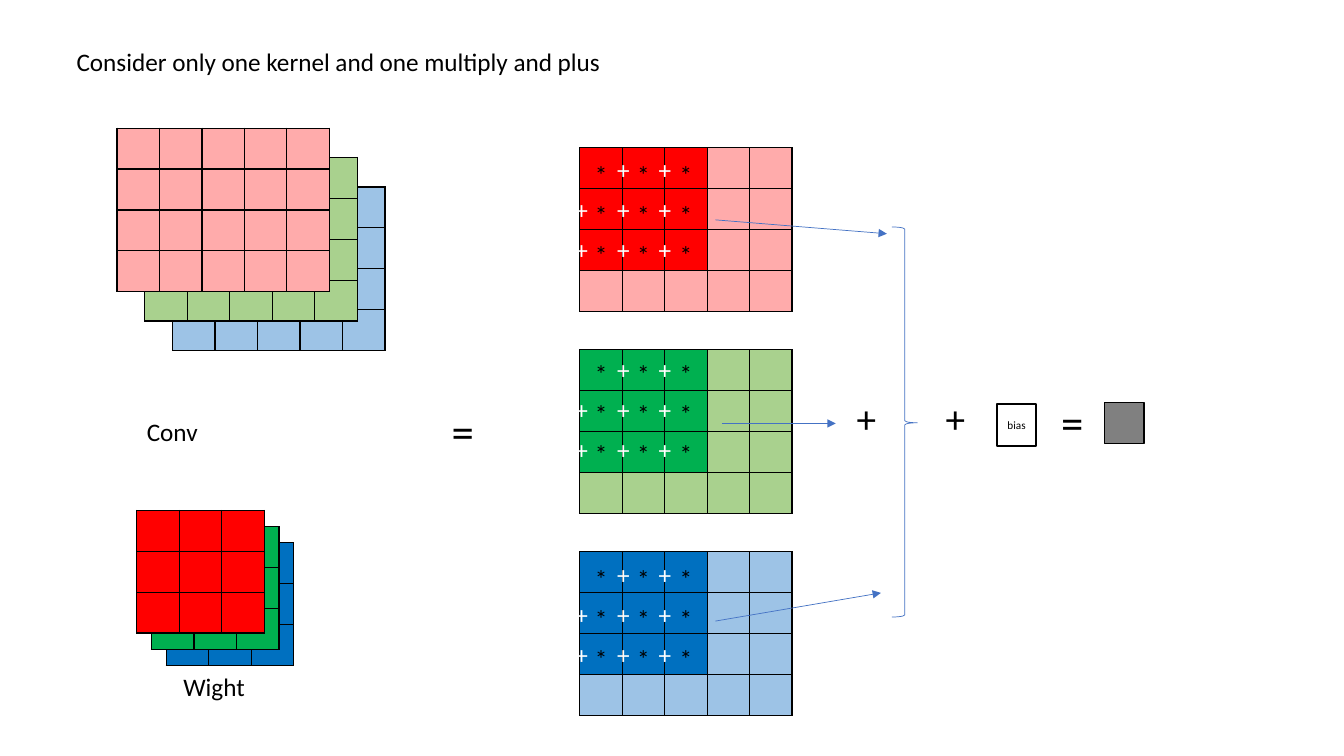
import pptx
import pptx.util
import pptx.dml.color
import pptx.enum.shapes
import pptx.enum.text
import pptx.oxml
from lxml import etree

Cm = pptx.util.Cm
Pt = pptx.util.Pt
CELL_W, CELL_H = 1.07, 1.03
PALE = ["FFABAB", "A9D18E", "9DC3E6"]
DEEP = ["FF0000", "00B050", "0070C0"]
NS = "http://schemas.openxmlformats.org/drawingml/2006/main"
EDGE = (
    '<a:{0} xmlns:a="{1}" w="12700"><a:solidFill><a:srgbClr val="000000"/>'
    '</a:solidFill></a:{0}>'
)


def tint(text):
    """Turn a hex string into a colour."""
    return pptx.dml.color.RGBColor.from_string(text)


def style(frame, size, color):
    """Format every run of a text frame."""
    for para in frame.paragraphs:
        for run in para.runs:
            run.font.name = "Calibri"
            run.font.size = Pt(size)
            run.font.color.rgb = tint(color)


def label(slide, box, text, size=18, color="000000"):
    """Add a text box at left, top, width, height."""
    shape = slide.shapes.add_textbox(*map(Cm, box))
    frame = shape.text_frame
    frame.word_wrap = True
    frame.auto_size = pptx.enum.text.MSO_AUTO_SIZE.SHAPE_TO_FIT_TEXT
    frame.text = text
    style(frame, size, color)


def block(slide, kind, box, line, width, fill=None):
    """Add a preset shape with a plain line and an optional fill."""
    shape = slide.shapes.add_shape(kind, *map(Cm, box))
    shape.shadow.inherit = False
    shape.line.color.rgb = tint(line)
    shape.line.width = Pt(width)
    if fill:
        shape.fill.solid()
        shape.fill.fore_color.rgb = tint(fill)
    else:
        shape.fill.background()
    return shape


def grid(slide, left, top, rows, cols, color):
    """Add a table of equal cells in one colour with black borders."""
    box = (left, top, cols * CELL_W, rows * CELL_H)
    table = slide.shapes.add_table(rows, cols, *map(Cm, box)).table
    table.first_row = table.horz_banding = False
    for col in table.columns:
        col.width = Cm(CELL_W)
    for row in table.rows:
        row.height = Cm(CELL_H)
    for cell in table.iter_cells():
        cell.margin_top = cell.margin_bottom = 0
        props = cell._tc.get_or_add_tcPr()
        for side in ("lnL", "lnR", "lnT", "lnB"):
            props.append(pptx.oxml.parse_xml(EDGE.format(side, NS)))
        cell.fill.solid()
        cell.fill.fore_color.rgb = tint(color)


def stack(slide, left, top, shift, rows, cols, colors):
    """Lay grids behind one another, the first colour in front."""
    for depth in reversed(range(len(colors))):
        grid(slide, left + depth * shift[0], top + depth * shift[1],
             rows, cols, colors[depth])


def product(slide, left, top, pale, deep, drop):
    """Draw a channel with its kernel, stars and plus signs."""
    grid(slide, left, top, 4, 5, pale)
    grid(slide, left, top, 3, 3, deep)
    for row in range(3):
        mark = top + drop + row * 1.01
        for col in range(3):
            label(slide, (left + 0.13 + col * CELL_W, mark, 0.66, 1.02), "*")
            if row or col:
                label(slide, (left - 0.36 + col * 1.05, mark - 0.11, 0.89, 1.02),
                      "+", color="FFFFFF")


def arrow(slide, start, end):
    """Draw a thin blue arrow between two points."""
    kind = pptx.enum.shapes.MSO_CONNECTOR.STRAIGHT
    link = slide.shapes.add_connector(kind, *map(Cm, start + end))
    link.line.color.rgb = tint("4472C4")
    link.line.width = Pt(0.5)
    head = etree.SubElement(link.line._get_or_add_ln(), f"{{{NS}}}tailEnd")
    head.set("type", "triangle")
    etree.SubElement(link._element.spPr, f"{{{NS}}}effectLst")


def total(slide, left, top):
    """Gather the channels with a brace, add the bias and show the result."""
    kinds = pptx.enum.shapes.MSO_SHAPE
    brace = block(slide, kinds.RIGHT_BRACE, (left, top, 0.64, 9.83), "4472C4", 0.5)
    brace.adjustments[0] = 0.083
    brace.adjustments[1] = 0.502
    for shift in (-1.14, 1.1):
        label(slide, (left + shift, top + 4.09, 1.14, 1.45), "+", 28)
    label(slide, (left + 4.01, top + 4.09, 1.24, 1.63), "=", 32)
    block(slide, kinds.RECTANGLE, (left + 5.35, top + 4.42, 1, 1.04),
          "000000", 1, "808080")
    bias = block(slide, kinds.RECTANGLE, (left + 2.64, top + 4.47, 1, 1.04),
                 "000000", 1.5, "FFFFFF")
    frame = bias.text_frame
    frame.margin_left = frame.margin_right = 0
    frame.vertical_anchor = pptx.enum.text.MSO_ANCHOR.MIDDLE
    frame.text = "bias"
    frame.paragraphs[0].alignment = pptx.enum.text.PP_ALIGN.CENTER
    style(frame, 8, "000000")


def main():
    """Build the slide and save it."""
    deck = pptx.Presentation()
    deck.slide_width, deck.slide_height = Cm(33.87), Cm(19.05)
    slide = deck.slides.add_slide(deck.slide_layouts[6])

    label(slide, (1.68, 1.04, 24.74, 1.02),
          "Consider only one kernel and one multiply and plus")
    stack(slide, 2.95, 3.23, (0.7, 0.74), 4, 5, PALE)
    label(slide, (3.45, 10.36, 2.34, 1.02), "Conv")
    stack(slide, 3.45, 12.86, (0.37, 0.41), 3, 3, DEEP)
    label(slide, (4.37, 16.79, 2.34, 1.02), "Wight")
    label(slide, (11.13, 10.06, 3.66, 1.63), "=", 32)

    drops = [0.16, 0.1, 0.17]
    for place, (pale, deep, drop) in enumerate(zip(PALE, DEEP, drops)):
        product(slide, 14.61, 3.72 + place * 5.09, pale, deep, drop)

    arrow(slide, (18.03, 5.54), (22.35, 5.89))
    arrow(slide, (18.19, 10.67), (21.06, 10.67))
    arrow(slide, (18.03, 15.65), (22.2, 14.94))
    total(slide, 22.48, 5.72)
    deck.save("out.pptx")


main()
